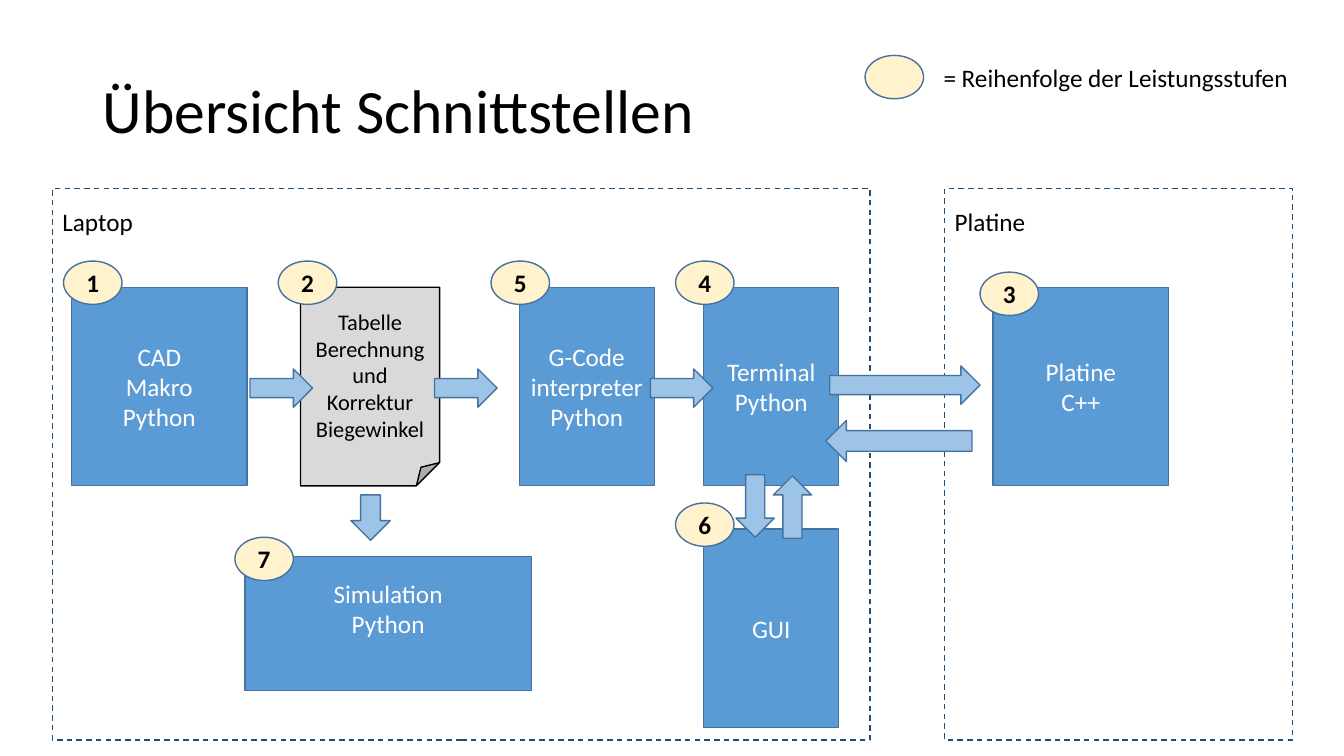
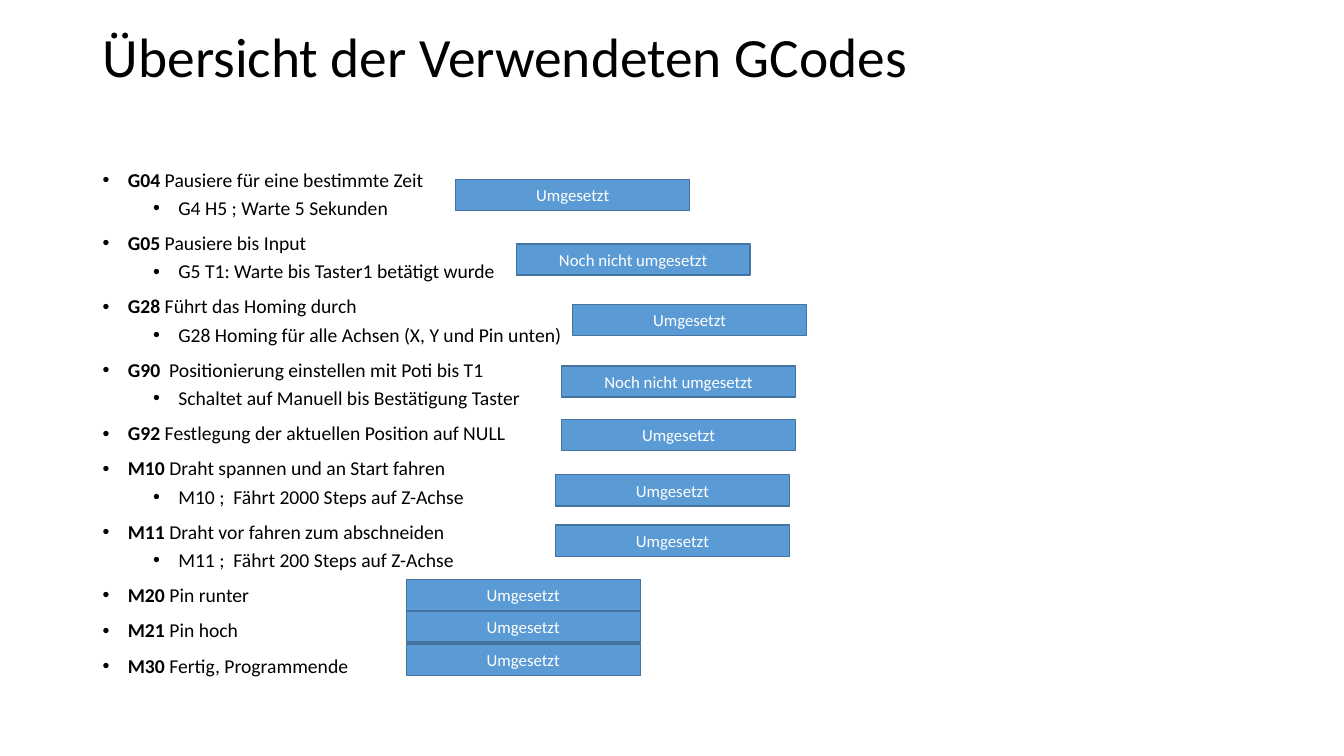
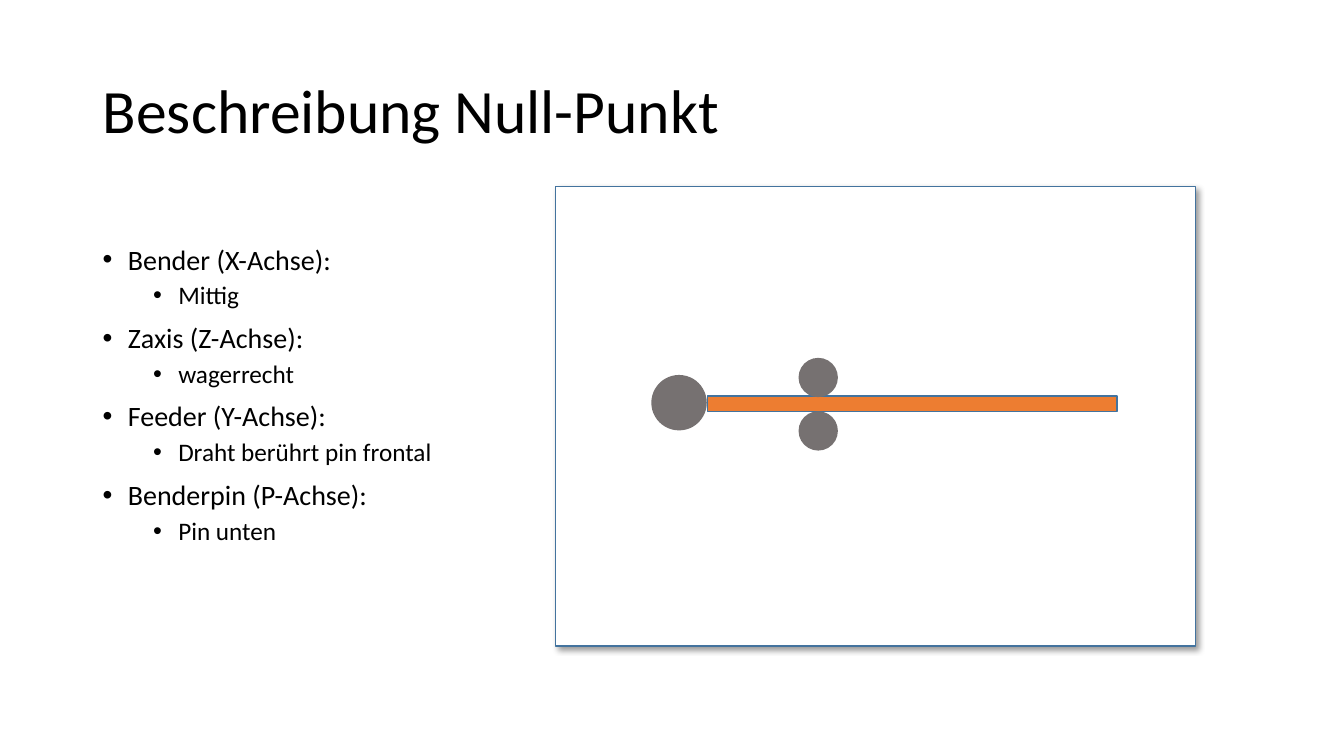
from collections import namedtuple

from lxml import etree
from pptx import Presentation
from pptx.dml.color import RGBColor
from pptx.enum.dml import MSO_LINE
from pptx.enum.shapes import MSO_SHAPE
from pptx.enum.text import MSO_ANCHOR, MSO_AUTO_SIZE, PP_ALIGN
from pptx.oxml.ns import qn
from pptx.util import Inches, Pt

RECTANGLE, ELLIPSE, NOTE = MSO_SHAPE.RECTANGLE, MSO_SHAPE.OVAL, MSO_SHAPE.FOLDED_CORNER
RIGHT, LEFT = MSO_SHAPE.RIGHT_ARROW, MSO_SHAPE.LEFT_ARROW
DOWN, UP = MSO_SHAPE.DOWN_ARROW, MSO_SHAPE.UP_ARROW
MIDDLE, TOP = MSO_ANCHOR.MIDDLE, MSO_ANCHOR.TOP
ALIGN_LEFT, ALIGN_CENTER = PP_ALIGN.LEFT, PP_ALIGN.CENTER
NO_AUTOSIZE = MSO_AUTO_SIZE.NONE
DASH = MSO_LINE.DASH

BLACK = RGBColor(0x00, 0x00, 0x00)
WHITE = RGBColor(0xFF, 0xFF, 0xFF)
BLUE = RGBColor(0x5B, 0x9B, 0xD5)
BLUE_EDGE = RGBColor(0x43, 0x73, 0x9E)
BLUE_DARK = RGBColor(0x1F, 0x4E, 0x79)
BLUE_LIGHT = RGBColor(0x9D, 0xC3, 0xE6)
CREAM = RGBColor(0xFF, 0xF2, 0xCC)
GRAY_LIGHT = RGBColor(0xD9, 0xD9, 0xD9)
GRAY_DARK = RGBColor(0x76, 0x71, 0x71)
ORANGE = RGBColor(0xED, 0x7D, 0x31)
FONT = "Calibri"
TITLE_ONLY = 5
BADGE_SIZE = (0.58, 0.43)
ARROW_LONG, ARROW_WIDE = 0.62, 0.38
STATUS_SIZE = (2.32, 0.31)

Box = namedtuple("Box", "left top width height")

GCODES = [
    ("G04", " Pausiere für eine bestimmte Zeit", "G4 H5 ; Warte 5 Sekunden"),
    ("G05", " Pausiere bis Input", "G5 T1: Warte bis Taster1 betätigt wurde"),
    ("G28", " Führt das Homing durch", "G28 Homing für alle Achsen (X, Y und Pin unten)"),
    ("G90", "  Positionierung einstellen mit Poti bis T1",
     "Schaltet auf Manuell bis Bestätigung Taster"),
    ("G92", " Festlegung der aktuellen Position auf NULL", ""),
    ("M10", " Draht spannen und an Start fahren", "M10 ;  Fährt 2000 Steps auf Z-Achse"),
    ("M11", " Draht vor fahren zum abschneiden", "M11 ;  Fährt 200 Steps auf Z-Achse"),
    ("M20", " Pin runter", ""),
    ("M21", " Pin hoch", ""),
    ("M30", " Fertig, Programmende", ""),
]
DONE, OPEN = "Umgesetzt", "Noch nicht umgesetzt"
STATUSES = [
    (4.52, 1.78, DONE), (5.12, 2.42, OPEN), (5.68, 3.02, DONE), (5.57, 3.63, OPEN),
    (5.57, 4.16, DONE), (5.51, 4.71, DONE), (5.51, 5.21, DONE), (4.03, 5.75, DONE),
    (4.03, 6.06, DONE), (4.03, 6.39, DONE),
]
ZERO_POINTS = [
    ("", "Bender (X-Achse):", "Mittig"),
    ("", "Zaxis (Z-Achse):", "wagerrecht"),
    ("", "Feeder (Y-Achse):", "Draht berührt pin frontal"),
    ("", "Benderpin (P-Achse):", "Pin unten"),
]


def inside(region, left, top, width, height):
    """Return a box whose position is counted from the corner of a region."""
    return Box(region.left + left, region.top + top, width, height)


def add_run(paragraph, text, size, color=BLACK, bold=False):
    """Append a formatted run to a paragraph."""
    run = paragraph.add_run()
    run.text = text
    formats = {"name": FONT, "size": Pt(size), "bold": bold}
    for name, value in formats.items():
        setattr(run.font, name, value)
    run.font.color.rgb = color


def add_figure(slide, kind, box, fill=None, line=BLUE_EDGE, lines=(), size=18,
               color=WHITE, bold=False):
    """Add a preset shape with optional centred lines of text."""
    shape = slide.shapes.add_shape(kind, *map(Inches, box))
    shape.shadow.inherit = False
    if fill is None:
        shape.fill.background()
    else:
        shape.fill.solid()
        shape.fill.fore_color.rgb = fill
    if line is None:
        shape.line.fill.background()
    else:
        shape.line.color.rgb = line
        shape.line.width = Pt(1)
    frame = shape.text_frame
    frame.word_wrap = True
    frame.vertical_anchor = MIDDLE
    for index, text in enumerate(lines):
        paragraph = frame.add_paragraph() if index else frame.paragraphs[0]
        paragraph.alignment = ALIGN_CENTER
        add_run(paragraph, text, size, color, bold)
    return shape


def add_label(slide, box, text, wrap=True):
    """Add a plain text label."""
    frame = slide.shapes.add_textbox(*map(Inches, box)).text_frame
    frame.word_wrap = wrap
    add_run(frame.paragraphs[0], text, 18)


def add_titled_slide(presentation, text, height=1.45, size=44):
    """Add a slide with the shared title style."""
    slide = presentation.slides.add_slide(presentation.slide_layouts[TITLE_ONLY])
    title = slide.shapes.title
    place = {"left": 0.92, "top": 0.4, "width": 11.5, "height": height}
    for name, value in place.items():
        setattr(title, name, Inches(value))
    frame = title.text_frame
    formats = {"word_wrap": True, "auto_size": NO_AUTOSIZE, "vertical_anchor": MIDDLE}
    for name, value in formats.items():
        setattr(frame, name, value)
    paragraph = frame.paragraphs[0]
    paragraph.alignment = ALIGN_LEFT
    paragraph.line_spacing = 0.9
    add_run(paragraph, text, size)
    return slide


def add_bullet(paragraph, level):
    """Give a paragraph the bullet, indent and spacing of its level."""
    formats = {"level": level, "line_spacing": 0.9, "space_before": Pt(5 if level else 10)}
    for name, value in formats.items():
        setattr(paragraph, name, value)
    properties = paragraph._p.get_or_add_pPr()
    properties.set("marL", str(Inches(0.25 + 0.5 * level)))
    properties.set("indent", str(Inches(-0.25)))
    etree.SubElement(properties, qn("a:buFont")).set("typeface", "Arial")
    etree.SubElement(properties, qn("a:buChar")).set("char", "•")


def add_outline(slide, box, entries, sizes):
    """Add a two-level list of (bold code, text, detail) entries."""
    frame = slide.shapes.add_textbox(*map(Inches, box)).text_frame
    frame.word_wrap = True
    frame.vertical_anchor = TOP
    rows = []
    for code, text, detail in entries:
        rows.append((0, code, text))
        if detail:
            rows.append((1, "", detail))
    for index, (level, code, text) in enumerate(rows):
        paragraph = frame.add_paragraph() if index else frame.paragraphs[0]
        add_bullet(paragraph, level)
        if code:
            add_run(paragraph, code, sizes[level], bold=True)
        add_run(paragraph, text, sizes[level])


def add_frame(slide, region, name):
    """Add the dashed frame of a device with its name."""
    frame = add_figure(slide, RECTANGLE, region, line=BLUE_DARK)
    frame.line.dash_style = DASH
    add_label(slide, inside(region, 0, 0.13, 2.41, 0.4), name)


def add_badge(slide, left, top, lines=()):
    """Add the ellipse that carries a step number."""
    add_figure(slide, ELLIPSE, Box(left, top, *BADGE_SIZE), CREAM, lines=lines,
               color=BLACK, bold=True)


def add_module(slide, box, lines, number, shift):
    """Add a module box with its step number at the upper left corner."""
    module = add_figure(slide, RECTANGLE, box, BLUE, lines=lines)
    add_badge(slide, box.left + shift[0], box.top + shift[1], [number])
    return module


def add_laptop(slide, region):
    """Draw the modules that run on the laptop and the arrows between them."""
    add_frame(slide, region, "Laptop")
    row = 0.98
    near = (-0.28, -0.26)
    add_module(slide, inside(region, 0.19, row, 1.74, 1.97), ["CAD", "Makro", "Python"],
               "1", (-0.08, -0.26))
    add_module(slide, inside(region, 4.63, row, 1.34, 1.97),
               ["G-Code interpreter", "Python"], "5", near)
    add_module(slide, inside(region, 6.46, row, 1.34, 1.97), ["Terminal", "Python"], "4", near)
    add_module(slide, inside(region, 6.46, 3.38, 1.34, 1.97), ["GUI"], "6", near)
    simulation = add_module(slide, inside(region, 1.91, 3.65, 2.84, 1.33),
                            ["Simulation", "Python"], "7", (-0.1, -0.19))
    simulation.text_frame.margin_bottom = Inches(0.35)
    sheet = inside(region, 2.46, row, 1.38, 1.97)
    add_figure(slide, NOTE, sheet, GRAY_LIGHT, BLACK,
               ["Tabelle Berechnung und Korrektur Biegewinkel"], 16, BLACK)
    add_badge(slide, sheet.left - 0.22, sheet.top - 0.26, ["2"])
    arrows = [(RIGHT, left, 1.79, ARROW_LONG, ARROW_WIDE) for left in (1.96, 3.79, 5.93)]
    arrows += [
        (DOWN, 2.96, 3.04, 0.39, 0.45),
        (DOWN, 6.78, 2.84, ARROW_WIDE, ARROW_LONG),
        (UP, 7.15, 2.85, ARROW_WIDE, ARROW_LONG),
    ]
    for kind, *place in arrows:
        add_figure(slide, kind, inside(region, *place), BLUE_LIGHT)


def add_controller(slide, region):
    """Draw the controller frame with its single module."""
    add_frame(slide, region, "Platine")
    add_module(slide, inside(region, 0.48, 0.98, 1.74, 1.97), ["Platine", "C++"],
               "3", (-0.13, -0.15))


def add_exchange(slide, region):
    """Draw the two arrows between laptop and controller."""
    add_figure(slide, RIGHT, inside(region, 0.04, 0, 1.49, 0.38), BLUE_LIGHT)
    add_figure(slide, LEFT, inside(region, 0, 0.54, 1.45, 0.41), BLUE_LIGHT)


def add_legend(slide, region):
    """Explain the numbered ellipses."""
    add_badge(slide, region.left, region.top)
    add_label(slide, inside(region, 0.68, 0.02, 3.66, 0.4),
              "= Reihenfolge der Leistungsstufen", wrap=False)


def add_shadow(shape):
    """Give a shape a soft shadow to the lower right."""
    effects = shape._element.spPr.find(qn("a:effectLst"))
    shadow = etree.SubElement(effects, qn("a:outerShdw"))
    values = {"blurRad": Pt(4), "dist": Pt(3), "dir": 45 * 60000, "algn": "tl"}
    for name, value in values.items():
        shadow.set(name, str(value))
    color = etree.SubElement(shadow, qn("a:srgbClr"))
    color.set("val", str(BLACK))
    etree.SubElement(color, qn("a:alpha")).set("val", "40000")


def add_wire_sketch(slide, region):
    """Sketch the wire between bender and feeder rollers in a panel."""
    add_shadow(add_figure(slide, RECTANGLE, region, WHITE))
    add_figure(slide, RECTANGLE, inside(region, 1.51, 2.08, 4.06, 0.15), ORANGE)
    for left, top, diameter in [(0.95, 1.87, 0.55), (2.41, 1.7, 0.39), (2.41, 2.23, 0.39)]:
        add_figure(slide, ELLIPSE, inside(region, left, top, diameter, diameter),
                   GRAY_DARK, None)


def build_interfaces(presentation):
    """Build the overview of the interfaces."""
    slide = add_titled_slide(presentation, "Übersicht Schnittstellen")
    add_laptop(slide, Box(0.52, 1.87, 8.11, 5.47))
    add_controller(slide, Box(9.37, 1.87, 3.45, 5.47))
    add_exchange(slide, Box(8.19, 3.63, 1.53, 0.95))
    add_legend(slide, Box(8.58, 0.55, 4.34, 0.43))


def build_gcodes(presentation):
    """Build the list of codes with their status."""
    slide = add_titled_slide(presentation, "Übersicht der Verwendeten GCodes", 0.38, 39.6)
    add_outline(slide, Box(0.92, 1.64, 11.5, 5.11), GCODES, (14, 14))
    for left, top, status in STATUSES:
        add_figure(slide, RECTANGLE, Box(left, top, *STATUS_SIZE), BLUE,
                   lines=[status], size=12)


def build_zero_point(presentation):
    """Build the description of the zero point."""
    slide = add_titled_slide(presentation, "Beschreibung Null-Punkt")
    add_wire_sketch(slide, Box(5.51, 1.85, 6.35, 4.56))
    add_outline(slide, Box(0.92, 2.39, 11.5, 4.37), ZERO_POINTS, (20, 18))


def main():
    """Build and save the presentation."""
    presentation = Presentation()
    presentation.slide_width = Inches(13.33)
    presentation.slide_height = Inches(7.5)
    build_interfaces(presentation)
    build_gcodes(presentation)
    build_zero_point(presentation)
    presentation.save("out.pptx")


if __name__ == "__main__":
    main()
